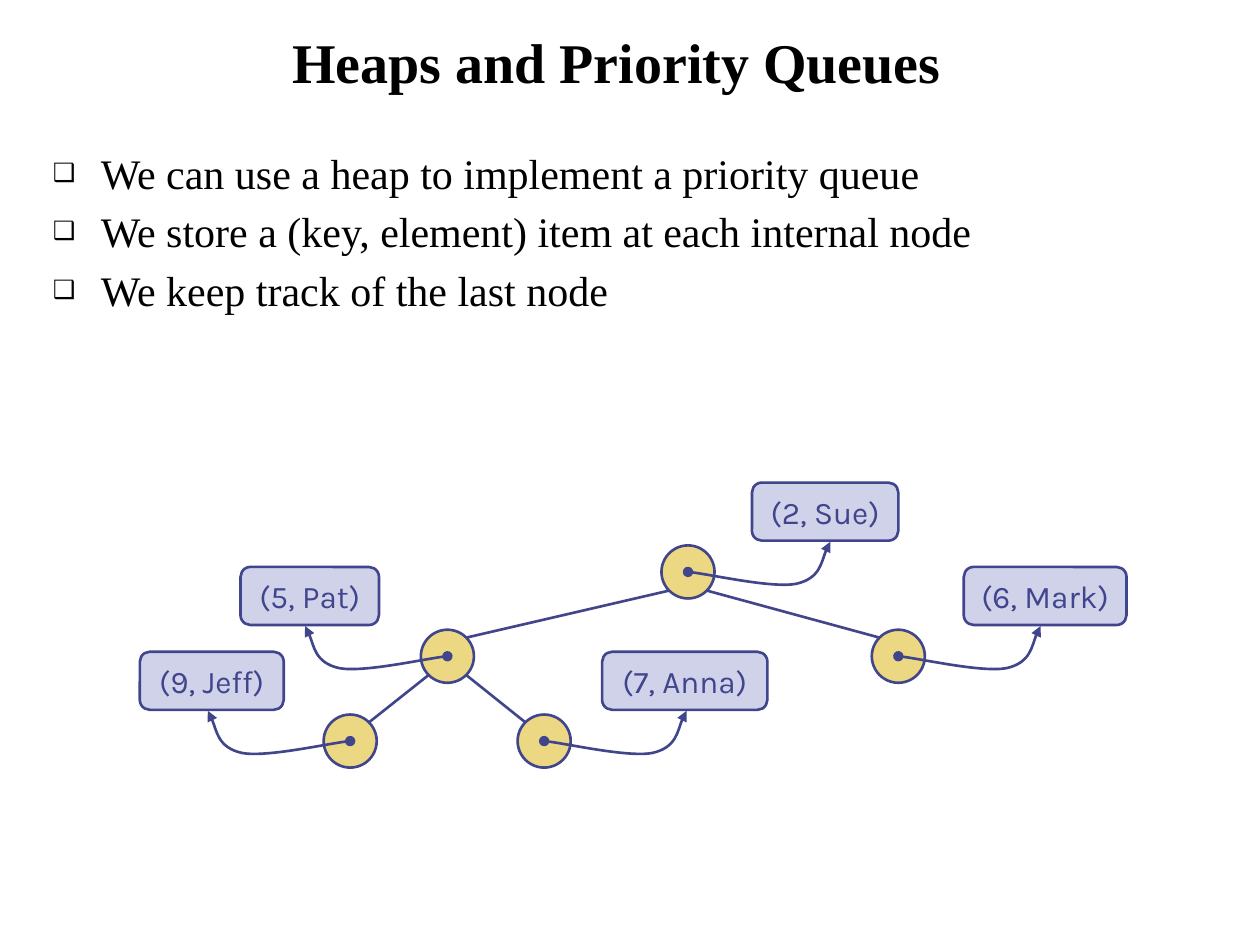
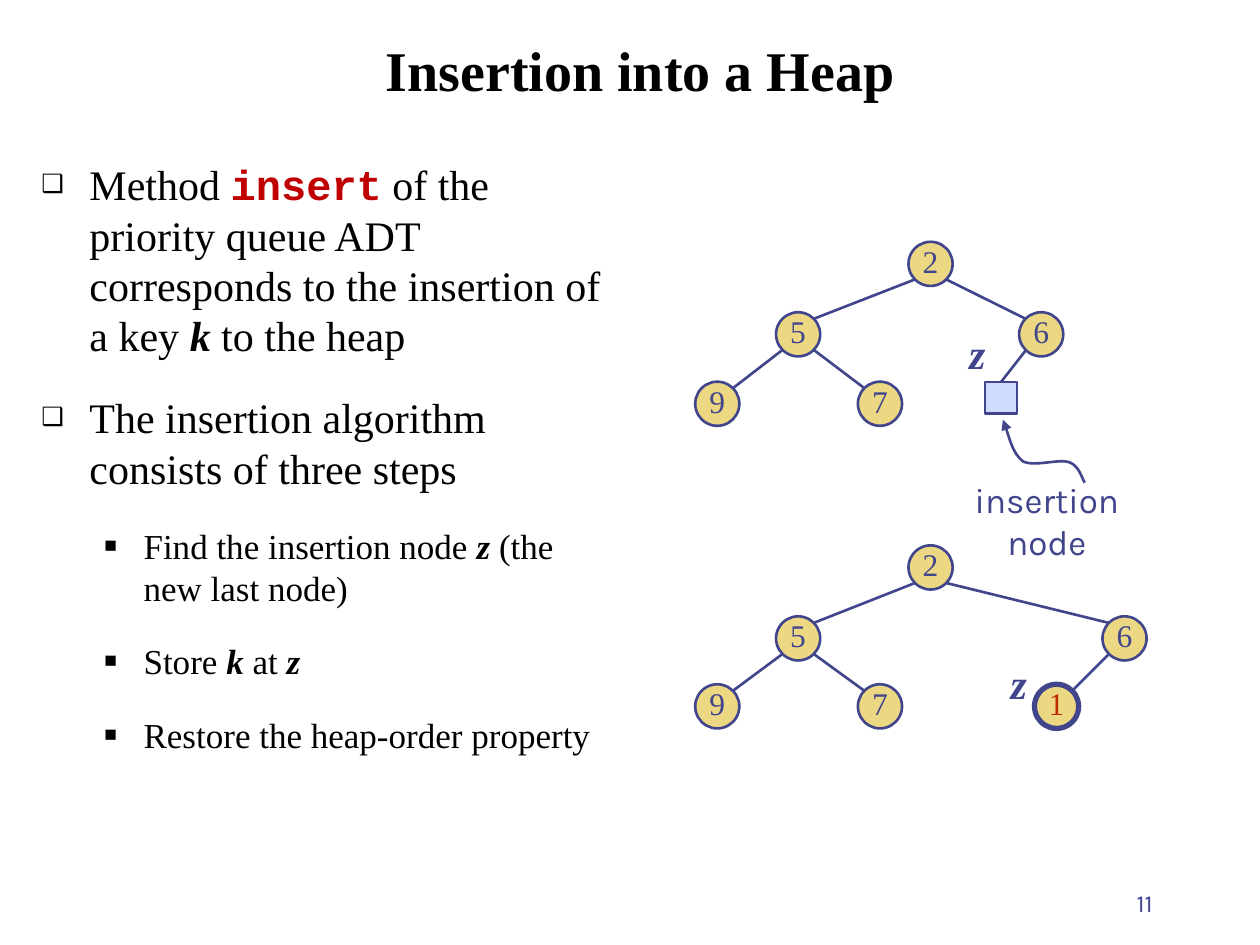
from lxml.etree import SubElement
from pptx import Presentation
from pptx.dml.color import RGBColor
from pptx.enum.shapes import MSO_CONNECTOR, MSO_SHAPE
from pptx.enum.text import MSO_ANCHOR, MSO_AUTO_SIZE, PP_ALIGN
from pptx.oxml.ns import qn
from pptx.util import Cm, Pt

INK, GOLD, LILAC, SKY = "40458C", "ECD882", "D0D2EA", "CFDBFD"
BLACK, RED, RUST = "000000", "C00000", "BE2D00"
SERIF, SANS, MONO = "Times New Roman", "Karla", "Courier New"
KEY = {"bold": True, "italic": True}
LEVELS = [("❑", 24, 0.97, 0.97), ("■", 20, 2.06, 0.79)]
SWING = [(0, 0), (0.36, 0.03), (1.7, 0.33), (2.18, 0.24),
         (2.67, 0.13), (2.74, -0.43), (2.87, -0.61)]


def paint(code):
    """Turn a hex string into a colour."""
    return RGBColor.from_string(code)


def write(para, text, size=24, font=SERIF, color=BLACK, bold=False, italic=False):
    """Add a formatted run to a paragraph."""
    run = para.add_run()
    run.text = text
    face = run.font
    face.size, face.name = Pt(size), font
    face.bold, face.italic = bold, italic
    face.color.rgb = paint(color)


def place(shape, box):
    """Move a shape to a box given in centimetres."""
    shape.left, shape.top, shape.width, shape.height = map(Cm, box)


def stroke(line, width=1.5):
    """Give a line the ink colour and a width."""
    line.color.rgb = paint(INK)
    line.width = Pt(width)


def head(slide, text, box):
    """Fill and place the slide title."""
    title = slide.shapes.title
    place(title, box)
    frame = title.text_frame
    frame.vertical_anchor = MSO_ANCHOR.BOTTOM
    frame.auto_size = MSO_AUTO_SIZE.NONE
    para = frame.paragraphs[0]
    para.alignment = PP_ALIGN.CENTER
    write(para, text, size=32, bold=True)


def bullet(para, mark, left, hang):
    """Set the bullet mark and hanging indent of a paragraph."""
    props = para._p.get_or_add_pPr()
    props.set("marL", str(Cm(left)))
    props.set("indent", str(-Cm(hang)))
    tint = SubElement(props, qn("a:buClr"))
    SubElement(tint, qn("a:srgbClr"), val=BLACK)
    SubElement(props, qn("a:buSzPct"), val="60000")
    SubElement(props, qn("a:buChar"), char=mark)


def points(slide, items, box, gap):
    """Fill the body with (level, runs) items."""
    body = slide.placeholders[1]
    place(body, box)
    frame = body.text_frame
    frame.auto_size = MSO_AUTO_SIZE.NONE
    for index, (level, runs) in enumerate(items):
        para = frame.add_paragraph() if index else frame.paragraphs[0]
        mark, size, left, hang = LEVELS[level]
        para.level = level
        para.space_before = Pt(gap)
        para.line_spacing = Pt(size * 1.2)
        bullet(para, mark, left, hang)
        for text, style in runs:
            write(para, text, size=size, **style)


def note(slide, text, box, align=PP_ALIGN.CENTER, anchor=MSO_ANCHOR.TOP,
         wrap=True, **style):
    """Add a text box."""
    label = slide.shapes.add_textbox(*map(Cm, box))
    frame = label.text_frame
    frame.word_wrap, frame.vertical_anchor = wrap, anchor
    para = frame.paragraphs[0]
    para.alignment = align
    write(para, text, color=INK, **style)


def block(slide, kind, box, fill, text="", width=1.5, **style):
    """Add an outlined shape with an optional centred label."""
    shape = slide.shapes.add_shape(kind, *map(Cm, box))
    shape.shadow.inherit = False
    shape.fill.solid()
    shape.fill.fore_color.rgb = paint(fill)
    stroke(shape.line, width)
    if text:
        frame = shape.text_frame
        frame.word_wrap = False
        frame.vertical_anchor = MSO_ANCHOR.MIDDLE
        para = frame.paragraphs[0]
        para.alignment = PP_ALIGN.CENTER
        write(para, text, size=18, **style)
    return shape


def node(slide, spot, size, text="", color=INK, width=1.5):
    """Add a round heap node centred on a spot."""
    x, y = spot
    box = (x - size / 2, y - size / 2, size, size)
    frame = block(slide, MSO_SHAPE.OVAL, box, GOLD, text, width, color=color).text_frame
    frame.margin_left = frame.margin_right = frame.margin_top = 0
    frame.margin_bottom = Cm(0.13)


def link(slide, start, end):
    """Draw a straight line between two spots."""
    line = slide.shapes.add_connector(MSO_CONNECTOR.STRAIGHT, *map(Cm, start + end))
    stroke(line.line)
    SubElement(line.element.spPr, qn("a:effectLst"))
    return line


def edge(slide, top, low, size):
    """Join a parent node to its child at their diagonal points."""
    reach = size * 0.35
    side = reach if low[0] > top[0] else -reach
    link(slide, (top[0] + side, top[1] + reach), (low[0] - side, low[1] - reach))


def curve(slide, spots, dot=False):
    """Draw a chain of cubic curves that ends in an arrowhead."""
    dots = [(Cm(x), Cm(y)) for x, y in spots]
    pen = slide.shapes.build_freeform(*dots[0])
    pen.add_line_segments(dots[1:], close=False)
    shape = pen.convert_to_shape()
    shape.shadow.inherit = False
    shape.fill.background()
    stroke(shape.line)
    steps = shape.element.xpath(".//a:lnTo")
    for first in range(0, len(steps), 3):
        trio = steps[first:first + 3]
        bend = SubElement(trio[0].getparent(), qn("a:cubicBezTo"))
        for step in trio:
            bend.append(step[0])
            step.getparent().remove(step)
    line = shape.element.spPr.get_or_add_ln()
    if dot:
        SubElement(line, qn("a:headEnd"), type="oval")
    SubElement(line, qn("a:tailEnd"), type="triangle")


def tree(slide, spots, edges, size, named=True):
    """Draw the nodes of a heap and the edges between them."""
    for top, low in edges:
        edge(slide, spots[top], spots[low], size)
    for name, spot in spots.items():
        node(slide, spot, size, name if named else "")


def queue(slide):
    """Build the slide on priority queues."""
    head(slide, "Heaps and Priority Queues", (1.32, 0.33, 22.23, 1.7))
    lines = ["We can use a heap to implement a priority queue",
             "We store a (key, element) item at each internal node",
             "We keep track of the last node"]
    points(slide, [(0, [(line, {})]) for line in lines], (0.81, 2.84, 24.18, 4.65), 4.8)
    spots = {"2": (13.87, 11.53), "5": (9.02, 13.23), "6": (18.11, 13.23),
             "9": (7.06, 14.94), "7": (10.97, 14.94)}
    tree(slide, spots, ["25", "26", "59", "57"], 1.07, named=False)
    items = [("2", "Sue", 15.16, 2.95, 1), ("6", "Mark", 19.43, 3.28, 1),
             ("5", "Pat", 4.85, 2.79, -1), ("9", "Jeff", 2.82, 2.9, -1),
             ("7", "Anna", 12.14, 3.33, 1)]
    for key, name, left, width, side in items:
        x, y = spots[key]
        card = block(slide, MSO_SHAPE.ROUNDED_RECTANGLE, (left, y - 1.8, width, 1.17),
                     LILAC, f"({key}, {name})", font=SANS, color=INK)
        card.adjustments[0] = 0.17
        curve(slide, [(x + side * dx, y + dy) for dx, dy in SWING], dot=True)


def insert(slide):
    """Build the slide on insertion."""
    head(slide, "Insertion into a Heap", (1.9, 0.36, 22.02, 1.83))
    code = {"font": MONO, "color": RED, "bold": True}
    points(slide, [
        (0, [("Method ", {}), ("insert", code),
             (" of the priority queue ADT corresponds to the insertion of a key ", {}),
             ("k", KEY), (" to the heap", {})]),
        (0, [("The insertion algorithm consists of three steps", {})]),
        (1, [("Find the insertion node ", {}), ("z", KEY), (" (the new last node)", {})]),
        (1, [("Store ", {}), ("k", KEY), (" at ", {}), ("z", KEY)]),
        (1, [("Restore the heap-order property", {})]),
    ], (0.58, 3.07, 11.81, 12.9), 18)
    size = 0.89
    for rows, right in [((5.32, 6.74, 8.14), 20.99), ((11.44, 12.87, 14.24), 22.67)]:
        top, mid, low = rows
        spots = {"2": (18.76, top), "5": (16.09, mid), "6": (right, mid),
                 "9": (14.46, low), "7": (17.74, low)}
        tree(slide, spots, ["25", "26", "59", "57"], size)
    last = (21.3, low)
    edge(slide, spots["6"], last, size)
    node(slide, last, size, "1", color=RUST, width=3)
    slot = block(slide, MSO_SHAPE.RECTANGLE, (19.86, 7.7, 0.64, 0.64), SKY)
    link(slide, (20.68, 7.06), (20.18, 7.7)).end_connect(slot, 0)
    curve(slide, [(21.87, 9.73), (21.82, 9.68), (21.77, 9.4), (21.56, 9.32),
                  (21.36, 9.24), (20.85, 9.42), (20.62, 9.3),
                  (20.42, 9.14), (20.29, 8.64), (20.22, 8.46)])
    note(slide, "insertion node", (19.2, 9.53, 3.81, 1.94), size=20, font=SANS)
    for left, top in [(19.28, 6.48), (20.12, 13.13)]:
        note(slide, "z", (left, top, 0.84, 1.27), wrap=False, **KEY)
    note(slide, "11", (18.21, 17.35, 5.28, 1.27), align=PP_ALIGN.RIGHT,
         anchor=MSO_ANCHOR.BOTTOM, size=14, font=SANS)


def main():
    """Build and save the deck."""
    deck = Presentation()
    deck.slide_width, deck.slide_height = Cm(25.4), Cm(19.05)
    for build in (queue, insert):
        build(deck.slides.add_slide(deck.slide_layouts[1]))
    deck.save("out.pptx")


if __name__ == "__main__":
    main()
